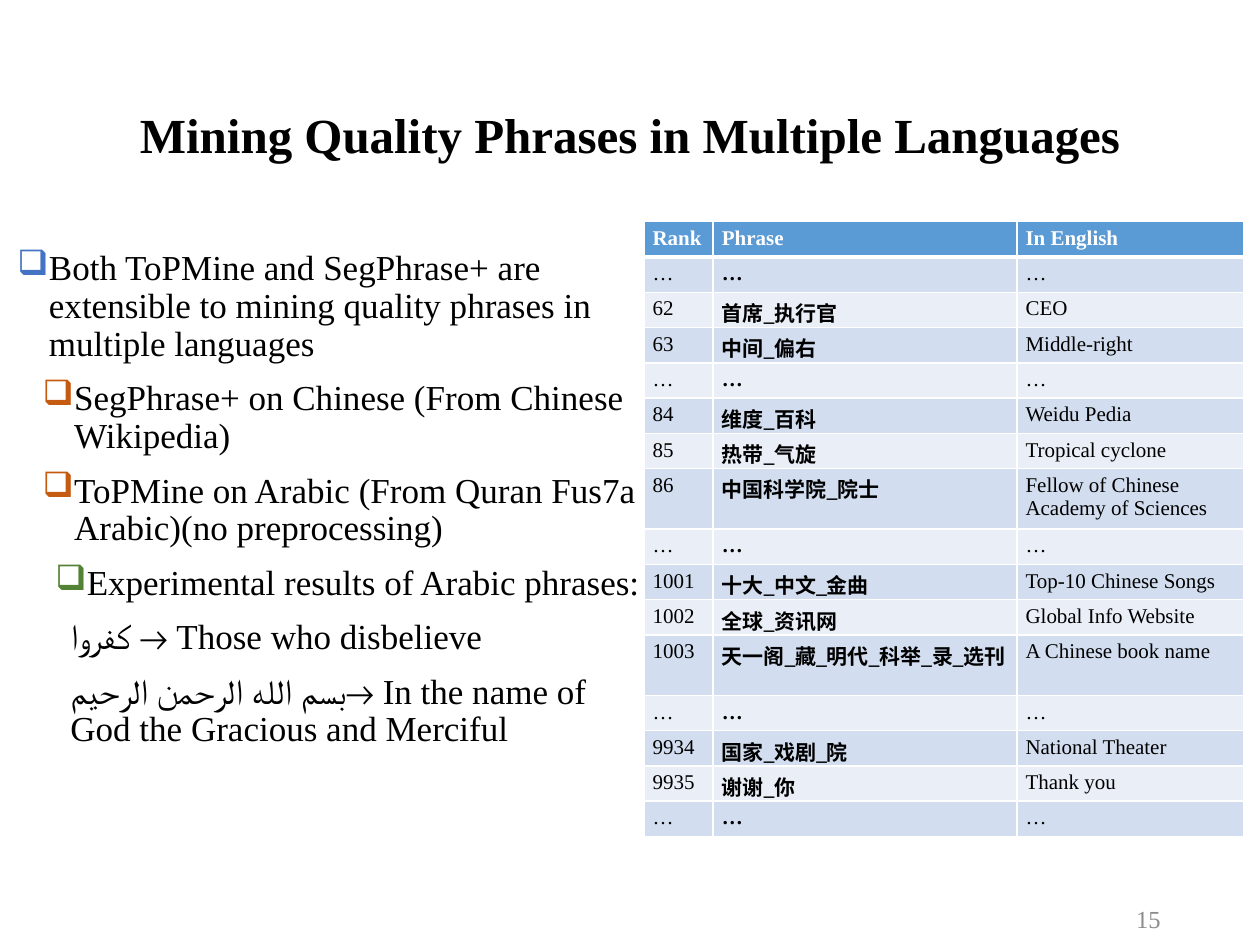
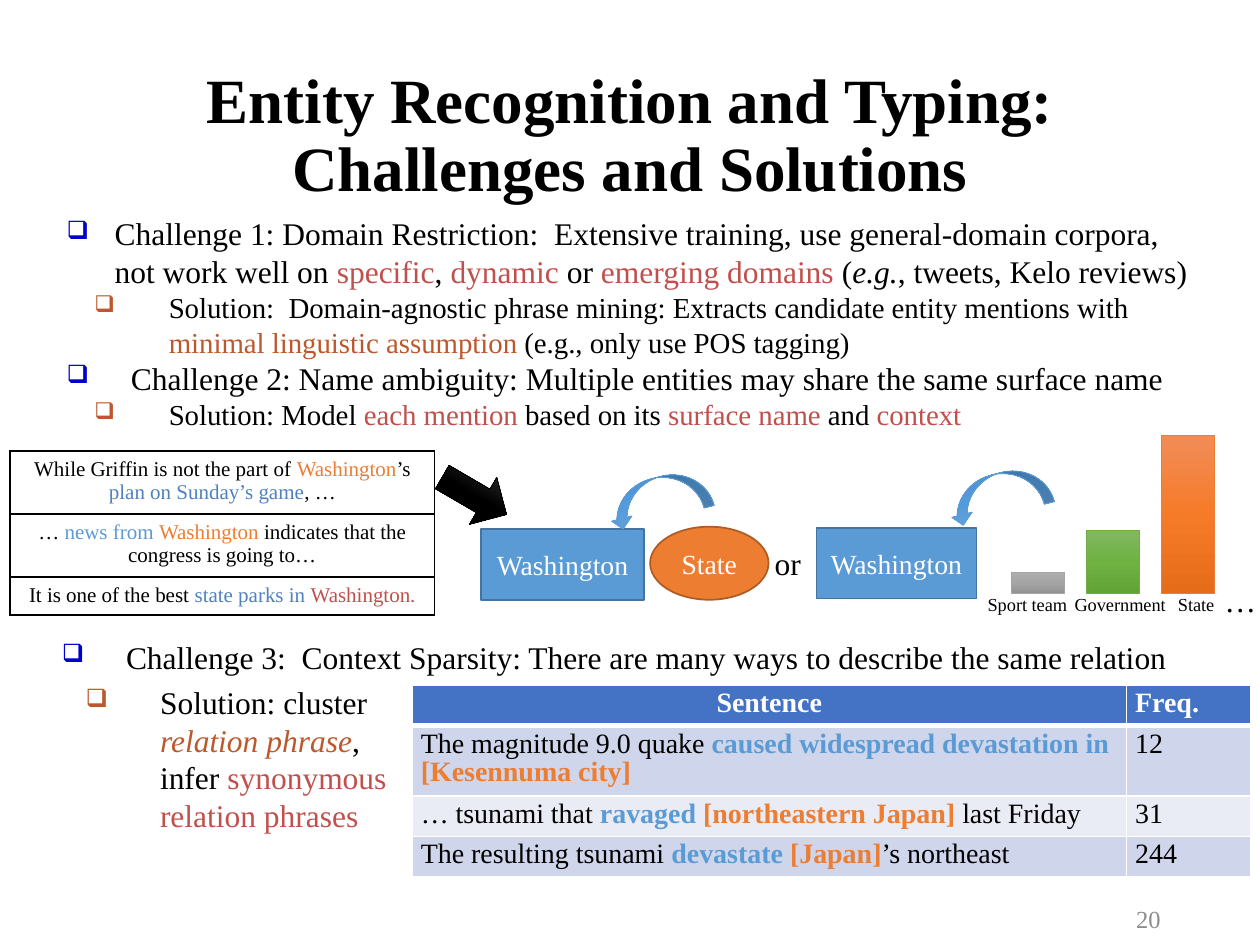
from dataclasses import dataclass
from typing import NamedTuple

from lxml.etree import SubElement
from pptx import Presentation
from pptx.dml.color import RGBColor as Rgb
from pptx.enum.shapes import MSO_SHAPE as Shape
from pptx.enum.text import MSO_ANCHOR as Anchor, PP_ALIGN as Align
from pptx.oxml.ns import qn
from pptx.util import Inches, Pt


@dataclass(frozen=True)
class Theme:
    font: str = "Times New Roman"
    black: str = "000000"
    white: str = "FFFFFF"
    gray: str = "8C8C8C"
    sky: str = "5B9BD5"
    sky_edge: str = "43739E"
    steel: str = "4F81BD"
    royal: str = "4472C4"
    navy: str = "0000CC"
    orange: str = "ED7D31"
    orange_edge: str = "AF5C24"
    rust: str = "BD582C"
    amber: str = "C55A11"
    red: str = "C0504D"
    moss: str = "548235"
    phrase_bands: tuple = ("D2DEEF", "EAEFF7")
    sentence_bands: tuple = ("CFD5EA", "E9EBF5")
    silver_bar: tuple = ("AFAFAF", "A5A5A5", "939393", "A5A5A5")
    green_bar: tuple = ("81B861", "6FB242", "62A336", "70AD47")
    orange_bar: tuple = ("F18C57", "F67B28", "E56C19", "ED7D31")
    black_arrow: tuple = ("4B4B4B", "000000", "000000", "000000")
    blue_arrow: tuple = ("71A6DB", "559BDB", "448ACA", "5B9BD5")
    lead: float = 20
    body: float = 18
    solution: float = 16.5
    entity: float = 15.8
    sentence: float = 16
    folio: float = 14
    table: float = 12
    label: float = 10.5


T = Theme()
CELL = 0.1  # grid of 100 columns by 75 rows
COLUMNS, ROWS = 100, 75
WIDE, TIGHT = (0.1, 0.05), (0.07, 0.04)


class Box(NamedTuple):
    x: float
    y: float
    w: float
    h: float

    def at(self, dx, dy, w, h):
        return Box(self.x + dx, self.y + dy, w, h)

    def emu(self):
        return [Inches(v * CELL) for v in self]


@dataclass
class Para:
    """Runs are plain strings or (text, colour, emphasis) tuples."""
    runs: object
    bullet: str = ""
    margin: float = 0
    hang: float = 0
    scale: int = 100
    level: int = 0
    before: float = 0
    after: float = 0
    size: float = 0
    align: object = None


def as_para(item):
    return item if isinstance(item, Para) else Para(item)


def indent(p, para):
    p.level = para.level
    props = p._p.get_or_add_pPr()
    props.set("marL", str(Inches(para.margin)))
    props.set("indent", str(-Inches(para.hang)))
    if para.bullet:
        SubElement(SubElement(props, qn("a:buClr")), qn("a:srgbClr"), val=para.bullet)
        SubElement(props, qn("a:buSzPct"), val=str(para.scale * 1000))
        SubElement(props, qn("a:buChar"), char="❑")
    else:
        SubElement(props, qn("a:buNone"))


def write(frame, items, size=T.body, color=T.black, bold=False, align=Align.LEFT, leading=1.0):
    for number, para in enumerate(map(as_para, items)):
        p = frame.add_paragraph() if number else frame.paragraphs[0]
        indent(p, para)
        p.alignment = para.align or align
        p.line_spacing = leading
        p.space_before, p.space_after = Pt(para.before), Pt(para.after)
        for piece in [para.runs] if isinstance(para.runs, str) else para.runs:
            text, tint, emphasis = (piece, color, "") if isinstance(piece, str) else piece
            run = p.add_run()
            run.text = text
            font = run.font
            font.name, font.size = T.font, Pt(para.size or size)
            font.color.rgb = Rgb.from_string(tint)
            font.bold, font.italic = bold or "b" in emphasis, "i" in emphasis


def pad(target, inset):
    target.margin_left = target.margin_right = Inches(inset[0])
    target.margin_top = target.margin_bottom = Inches(inset[1])


def text_box(slide, box, items, inset=WIDE, anchor=Anchor.TOP, wrap=True, **fmt):
    frame = slide.shapes.add_textbox(*box.emu()).text_frame
    frame.word_wrap, frame.vertical_anchor = wrap, anchor
    pad(frame, inset)
    write(frame, items, **fmt)


def plain_shape(slide, kind, box, edge, width):
    shape = slide.shapes.add_shape(kind, *box.emu())
    shape.shadow.inherit = False
    shape.line.color.rgb, shape.line.width = Rgb.from_string(edge), Pt(width)
    return shape


def entity(slide, kind, box, name, fill, edge):
    shape = plain_shape(slide, kind, box, edge, 1)
    shape.fill.solid()
    shape.fill.fore_color.rgb = Rgb.from_string(fill)
    shape.text_frame.vertical_anchor = Anchor.MIDDLE
    pad(shape.text_frame, WIDE)
    write(shape.text_frame, [name], size=T.entity, color=T.white, align=Align.CENTER)


def shaded(slide, kind, box, tones, rotation=0):
    *stops, edge = tones
    shape = plain_shape(slide, kind, box, edge, 0.5)
    shape.fill.gradient()
    shape.fill.gradient_angle = 270
    stop_list = shape._element.spPr.find(".//" + qn("a:gsLst"))
    for old in list(stop_list):
        stop_list.remove(old)
    for number, tone in enumerate(stops):
        stop = SubElement(stop_list, qn("a:gs"), pos=str(number * 50000))
        SubElement(stop, qn("a:srgbClr"), val=tone)
    shape.rotation = rotation


def border(cell, color, top, bottom):
    props = cell._tc.get_or_add_tcPr()
    for side, width in (("L", 1), ("R", 1), ("T", top), ("B", bottom)):
        line = SubElement(props, qn("a:ln" + side), w=str(Pt(width)))
        SubElement(SubElement(line, qn("a:solidFill")), qn("a:srgbClr"), val=color)


def grid_table(slide, box, widths, heights, rows, header=None, bands=(None,),
               edge=T.white, inset=TIGHT, **fmt):
    table = slide.shapes.add_table(len(rows), len(widths), *box.emu()).table
    table.first_row, table.horz_banding = bool(header), False
    for column, width in zip(table.columns, widths):
        column.width = Inches(width * CELL)
    for r, (row, height) in enumerate(zip(rows, heights)):
        table.rows[r].height = Inches(height * CELL)
        is_head = bool(header) and r == 0
        fill = header if is_head else bands[(r - 1) % len(bands)]
        for c, item in enumerate(row):
            cell = table.cell(r, c)
            pad(cell, inset)
            border(cell, edge, 3 if header and r == 1 else 1, 3 if is_head else 1)
            if fill:
                cell.fill.solid()
                cell.fill.fore_color.rgb = Rgb.from_string(fill)
            else:
                cell.fill.background()
            tone = dict(color=T.white, bold=True) if is_head else {}
            write(cell.text_frame, [item], **fmt, **tone)


def new_slide(deck, title, title_size, number):
    slide = deck.slides.add_slide(deck.slide_layouts[6])
    text_box(slide, Box(6.9, 6.7, 86.2, 8.4), [title], anchor=Anchor.MIDDLE,
             size=title_size, bold=True, align=Align.CENTER, leading=0.9)
    text_box(slide, Box(70.6, 71.7, 22.5, 2.5), [number], anchor=Anchor.MIDDLE,
             size=T.folio, color=T.gray, align=Align.RIGHT)
    return slide


# Slide 1: phrases in several languages
def language_points(slide, box):
    def point(text, bullet, margin, level=2, hang=0.25):
        return Para(text, bullet, margin, hang, level=level,
                    before=5 if level else 0, after=4.5)

    text_box(slide, box, [
        point("Both ToPMine and SegPhrase+ are extensible to mining quality phrases "
              "in multiple languages", T.royal, 0.25, 0),
        point("SegPhrase+ on Chinese (From Chinese Wikipedia)", T.amber, 0.45, 1),
        point("ToPMine on Arabic (From Quran Fus7a Arabic)(no preprocessing)", T.amber, 0.45, 1),
        point("Experimental results of Arabic phrases:", T.moss, 0.55),
        point("كفروا → Those who disbelieve", "", 0.42, hang=0),
        point("بسم الله الرحمن الرحيم→ In the name of God the Gracious and Merciful",
              "", 0.42, hang=0),
    ], size=T.lead, leading=0.9)


def phrase_table(slide, box):
    gap = ("…", "…", "…")
    ranked = [
        gap, ("62", "首席_执行官", "CEO"), ("63", "中间_偏右", "Middle-right"),
        gap, ("84", "维度_百科", "Weidu Pedia"), ("85", "热带_气旋", "Tropical cyclone"),
        ("86", "中国科学院_院士", "Fellow of Chinese Academy of Sciences"),
        gap, ("1001", "十大_中文_金曲", "Top-10 Chinese Songs"),
        ("1002", "全球_资讯网", "Global Info Website"),
        ("1003", "天一阁_藏_明代_科举_录_选刊", "A Chinese book name"),
        gap, ("9934", "国家_戏剧_院", "National Theater"), ("9935", "谢谢_你", "Thank you"), gap,
    ]
    rows = [("Rank", "Phrase", "In English")]
    rows += [(rank, [(phrase, T.black, "b")], english) for rank, phrase, english in ranked]
    heights = [4.7 if row[0] == "86" else 2.8 for row in rows]
    grid_table(slide, box, (5.5, 24.1, 18), heights, rows,
               header=T.sky, bands=T.phrase_bands, size=T.table)


# Slide 2: entity challenges
def challenge(runs, margin=0.51, hang=0.51, level=0):
    return Para(runs, T.navy, margin, hang, 80, level)


def solution(runs, size=T.solution):
    return Para(runs, T.rust, 0.81, 0.59, 80, 1, size=size)


def first_challenges(slide, box):
    text_box(slide, box, [
        challenge(["Challenge 1: Domain Restriction:  Extensive training, use general-domain "
                   "corpora, not work well on ", ("specific", T.red, ""), ", ",
                   ("dynamic", T.red, ""), " or ", ("emerging domains ", T.red, ""), "(",
                   ("e.g.", T.black, "i"), ", tweets, Kelo reviews)"], 0.38, 0.38, 1),
        solution(["Solution:  Domain-agnostic phrase mining: Extracts candidate entity "
                  "mentions with", (" minimal linguistic assumption ", T.rust, ""),
                  "(e.g., only use POS tagging)"]),
        challenge("Challenge 2: Name ambiguity: Multiple entities may share the same surface name"),
        solution(["Solution: Model ", ("each mention ", T.red, ""), "based on its ",
                  ("surface name ", T.red, ""), "and ", ("context", T.red, "")]),
    ], inset=TIGHT)


def mention_table(slide, box):
    place = ("Washington", T.orange, "")
    rows = [
        [["While Griffin is not the part of ", place, "’s ",
          ("plan on Sunday’s game", T.steel, ""), ", …"]],
        [["… ", ("news from ", T.sky, ""), place, " indicates that the congress is going to…"]],
        [["It is one of the best ", ("state parks in ", T.steel, ""),
          ("Washington.", T.red, "")]],
    ]
    grid_table(slide, box, (box.w,), (5, 5, 3), rows, edge=T.black, inset=WIDE,
               size=T.table, align=Align.CENTER)


def typing_diagram(slide, box):
    # Mentions and their candidate type
    for dx, dy, w in ((3.5, 4.8, 12.9), (30.1, 4.7, 12.7)):
        entity(slide, Shape.RECTANGLE, box.at(dx, dy, w, 5.6), "Washington", T.sky, T.sky_edge)
    entity(slide, Shape.OVAL, box.at(16.9, 4.6, 9.4, 5.8), "State", T.orange, T.orange_edge)
    text_box(slide, box.at(25.8, 5.5, 4.2, 4), ["or"], wrap=False)
    # Arrows
    shaded(slide, Shape.RIGHT_ARROW, box.at(0, 0, 5.9, 4.3), T.black_arrow, 30.2)
    for dx, dy in ((13.4, 0.7), (40.4, 0.4)):
        shaded(slide, Shape.CURVED_UP_ARROW, box.at(dx, dy, 8.3, 3.3), T.blue_arrow, 165.5)


def type_bars(slide, box):
    bars = (("Sport team", 1.7, T.silver_bar, 0, 8.6), ("Government", 5, T.green_bar, 6.9, 10.1),
            ("State", 12.5, T.orange_bar, 15.1, 5.1))
    for number, (name, height, tones, label_x, label_w) in enumerate(bars):
        shaded(slide, Shape.RECTANGLE,
               box.at(2.9 + 5.95 * number, box.h - height, 4.2, height), tones)
        text_box(slide, box.at(label_x, box.h - 0.5, label_w, 2.8), [name],
                 size=T.label, wrap=name != "State")
    text_box(slide, box.at(18.8, box.h - 1.5, 4.5, 4), ["…"], wrap=False)


def third_challenge(slide, box):
    text_box(slide, box.at(0.3, 0, 91.9, 3.4), [challenge(
        "Challenge 3:  Context Sparsity: There are many ways to describe the same relation")],
        inset=TIGHT)
    text_box(slide, box.at(0, 3.6, 30.1, 11.4), [solution(
        ["Solution: cluster ", ("relation phrase", T.rust, "i"), ", infer ",
         ("synonymous relation phrases", T.red, "")], T.body)], inset=TIGHT)


def sentence_table(slide, box):
    def relation(text):
        return text, T.sky, "b"

    def place(text):
        return text, T.orange, "b"

    rows = [
        (Para("Sentence", align=Align.CENTER), "Freq."),
        (["The magnitude 9.0 quake ", relation("caused widespread devastation in "),
          place("[Kesennuma city]")], "12"),
        (["… tsunami that ", relation("ravaged "), place("[northeastern Japan] "),
          "last Friday"], "31"),
        (["The resulting tsunami ", relation("devastate "), place("[Japan]"),
          "’s northeast"], "244"),
    ]
    grid_table(slide, box, (56.7, 9.9), (3.1, 5.5, 3.1, 3.1), rows, header=T.royal,
               bands=T.sentence_bands, size=T.sentence, leading=0.9)


def main():
    deck = Presentation()
    deck.slide_width, deck.slide_height = Inches(COLUMNS * CELL), Inches(ROWS * CELL)

    languages = new_slide(deck, "Mining Quality Phrases in Multiple Languages", 28, "15")
    language_points(languages, Box(0.4, 19.4, 52.1, 42.4))
    phrase_table(languages, Box(51.1, 17.6, 47.6, 46.7))

    entities = new_slide(deck, "Entity Recognition and Typing: Challenges and Solutions", 36, "20")
    first_challenges(entities, Box(4.6, 16.6, 91.4, 18.4))
    typing_diagram(entities, Box(34.7, 37.2, 42.8, 10.4))
    type_bars(entities, Box(77.4, 34.6, 22.6, 12.5))
    mention_table(entities, Box(0.8, 35.8, 33.7, 13))
    sentence_table(entities, Box(32.7, 54.4, 66.6, 14.8))
    third_challenge(entities, Box(3.9, 50.2, 92.2, 15))
    deck.save("out.pptx")


if __name__ == "__main__":
    main()
